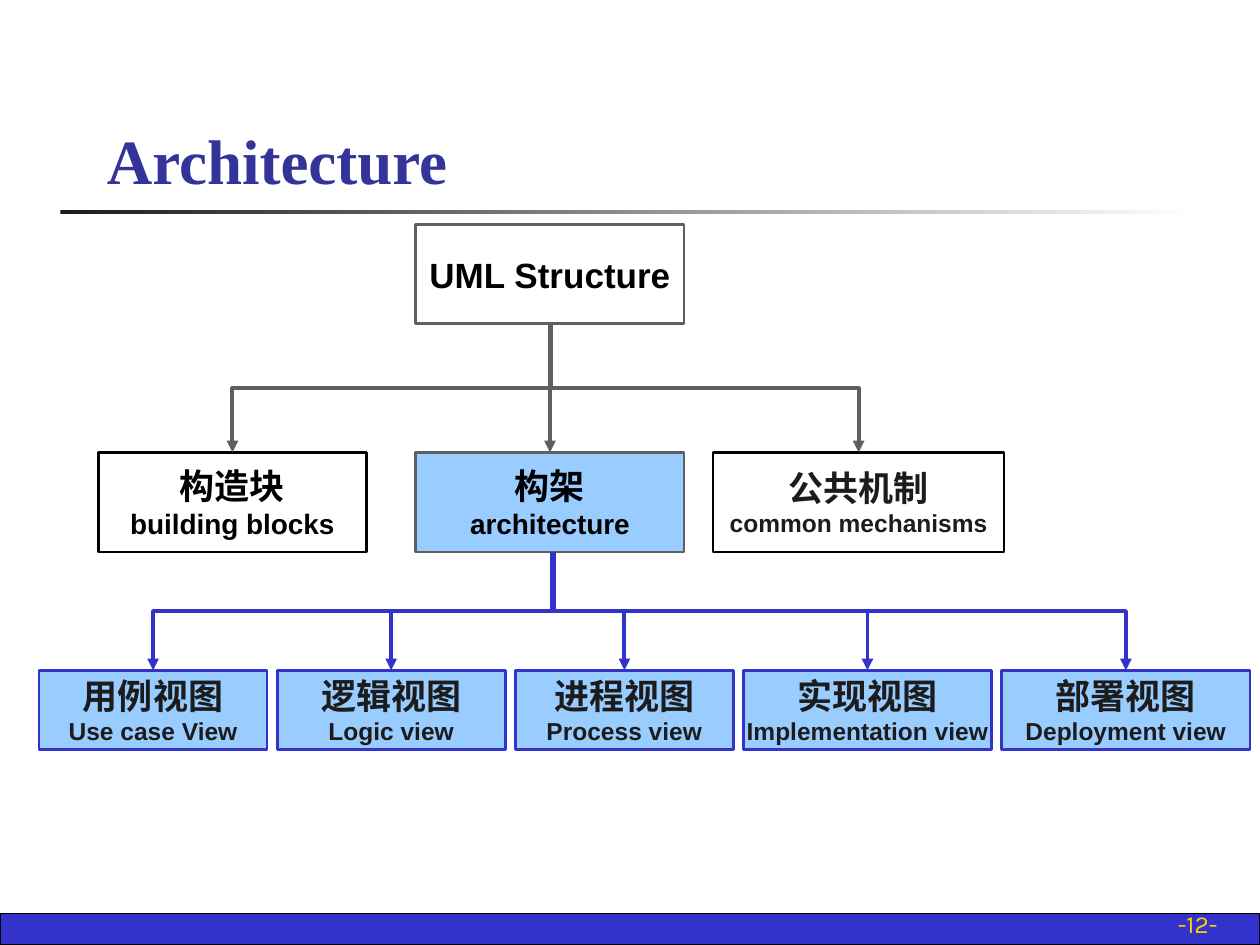
from lxml import etree
from pptx import Presentation
from pptx.dml.color import RGBColor
from pptx.enum import shapes, text
from pptx.oxml import ns
from pptx.util import Inches, Pt

BLACK = RGBColor(0, 0, 0)
INK = RGBColor(0x1C, 0x1C, 0x1C)
WHITE = RGBColor(0xFF, 0xFF, 0xFF)
GRAY = RGBColor(0x5F, 0x5F, 0x5F)
BLUE = RGBColor(0x33, 0x33, 0xCC)
NAVY = RGBColor(0x33, 0x33, 0x99)
SKY = RGBColor(0x99, 0xCC, 0xFF)
GOLD = RGBColor(0xFF, 0xCF, 0x01)
MID, LOW = text.MSO_ANCHOR.MIDDLE, text.MSO_ANCHOR.BOTTOM
LEFT, RIGHT, CENTER = text.PP_ALIGN.LEFT, text.PP_ALIGN.RIGHT, text.PP_ALIGN.CENTER


def write(shape, lines, color, name="Arial", bold=True, align=CENTER, anchor=MID, wrap=False):
    """Fill a shape with (text, size) lines."""
    frame = shape.text_frame
    frame.word_wrap, frame.vertical_anchor = wrap, anchor
    for i, (words, size) in enumerate(lines):
        para = frame.add_paragraph() if i else frame.paragraphs[0]
        para.alignment = align
        run = para.add_run()
        run.text = words
        for key, value in dict(name=name, size=Pt(size), bold=bold).items():
            setattr(run.font, key, value)
        run.font.color.rgb = color


def add_rect(slide, box, fill=None, line=None, width=1.5):
    rect = slide.shapes.add_shape(shapes.MSO_SHAPE.RECTANGLE, *map(Inches, box))
    rect.shadow.inherit = False
    if fill is None:
        rect.fill.background()
    else:
        rect.fill.solid()
        rect.fill.fore_color.rgb = fill
    if line is None:
        rect.line.fill.background()
    else:
        rect.line.color.rgb, rect.line.width = line, Pt(width)
    return rect


def add_node(slide, box, lines, ink, fill, line):
    node = add_rect(slide, box, fill, line)
    write(node, lines, ink)
    return node


def style_arrow(arrow, color):
    arrow.line.color.rgb, arrow.line.width = color, Pt(2.25)
    etree.SubElement(arrow.line._get_or_add_ln(), ns.qn("a:tailEnd"), type="triangle")
    etree.SubElement(arrow._element.spPr, ns.qn("a:effectLst"))


def add_straight(slide, top, low, color):
    arrow = slide.shapes.add_connector(shapes.MSO_CONNECTOR.STRAIGHT, 0, 0, 0, 0)
    arrow.begin_connect(top, 2)
    arrow.end_connect(low, 0)
    style_arrow(arrow, color)


def add_elbow(slide, x, y, child, color):
    """Go down, across and down from a point to the top of a child, as a turned elbow."""
    x, y = Inches(x), Inches(y)
    end = child.left + child.width // 2
    drop, run = child.top - y, abs(end - x)
    mid_x, mid_y = (x + end) // 2, y + drop // 2
    ends = [mid_x - drop // 2, mid_x + drop // 2]
    to_right = end > x
    if to_right:
        ends.reverse()
    arrow = slide.shapes.add_connector(
        shapes.MSO_CONNECTOR.ELBOW, ends[0], mid_y - run // 2, ends[1], mid_y + run // 2)
    turn = 270 if to_right else 90
    arrow._element.spPr.find(ns.qn("a:xfrm")).set("rot", str(turn * 60000))
    style_arrow(arrow, color)


def add_header(slide, box):
    x, y, w, h = box
    title = slide.shapes.add_textbox(*map(Inches, box))
    write(title, [("Architecture", 36)], NAVY, "Times New Roman",
          align=LEFT, anchor=LOW, wrap=True)
    rule = add_rect(slide, (x - 0.27, y + h + 0.06, 9, 0.03))
    rule.fill.gradient()
    rule.fill.gradient_angle = 0
    for stop, color, place in zip(rule.fill.gradient_stops, (INK, WHITE), (0, 1)):
        stop.color.rgb, stop.position = color, place


def add_footer(slide, box):
    x, y, w, h = box
    add_rect(slide, box, BLUE, BLACK, 0.75)
    page = slide.shapes.add_textbox(*map(Inches, (x + 7.68, y - 0.08, 2.08, 0.33)))
    write(page, [("-12-", 14)], GOLD, "Karla", bold=False, align=RIGHT, anchor=LOW, wrap=True)


def add_parts(slide, box):
    """Place the root and its three parts; return the architecture node."""
    x, y, w, h = box
    tall = 0.79
    root = add_node(slide, (x + 2.52, y, 2.13, tall), [("UML Structure", 20)],
                    BLACK, None, GRAY)
    rows = [
        (0, 2.13, "构造块", "building blocks", 16, BLACK, None, BLACK),
        (2.52, 2.13, "构架", "architecture", 16, BLACK, SKY, GRAY),
        (4.88, 2.31, "公共机制", "common mechanisms", 14, INK, None, BLACK),
    ]
    blocks, core, common = [
        add_node(slide, (x + dx, y + h - tall, wide, tall), [(name, 20), (gloss, size)],
                 ink, fill, line)
        for dx, wide, name, gloss, size, ink, fill, line in rows]
    for part in (blocks, common):
        add_elbow(slide, x + 3.59, y + tall, part, GRAY)
    add_straight(slide, root, core, GRAY)
    return core


def add_views(slide, box, core):
    x, y, w, h = box
    rows = [
        (1.81, "用例视图", "Use case View", 4.38),
        (1.81, "逻辑视图", "Logic view", 4.38),
        (1.73, "进程视图", "Process view", 4.38),
        (1.97, "实现视图", "Implementation view", 4.4),
        (1.97, "部署视图", "Deployment view", 4.4),
    ]
    gap = (w - sum(row[0] for row in rows)) / (len(rows) - 1)
    start = (core.top + core.height) / Inches(1)
    for wide, name, gloss, trunk in rows:
        view = add_node(slide, (x, y, wide, h), [(name, 20), (gloss, 14)], INK, SKY, BLUE)
        add_elbow(slide, trunk, start, view, BLUE)
        x += wide + gap


def main():
    deck = Presentation()
    deck.slide_width, deck.slide_height = Inches(10), Inches(7.5)
    slide = deck.slides.add_slide(deck.slide_layouts[6])
    add_footer(slide, (0, 7.25, 10, 0.25))
    add_header(slide, (0.75, 0.36, 8.52, 1.25))
    core = add_parts(slide, (0.78, 1.78, 7.19, 2.6))
    add_views(slide, (0.31, 5.32, 9.61, 0.63), core)
    deck.save("out.pptx")


if __name__ == "__main__":
    main()
